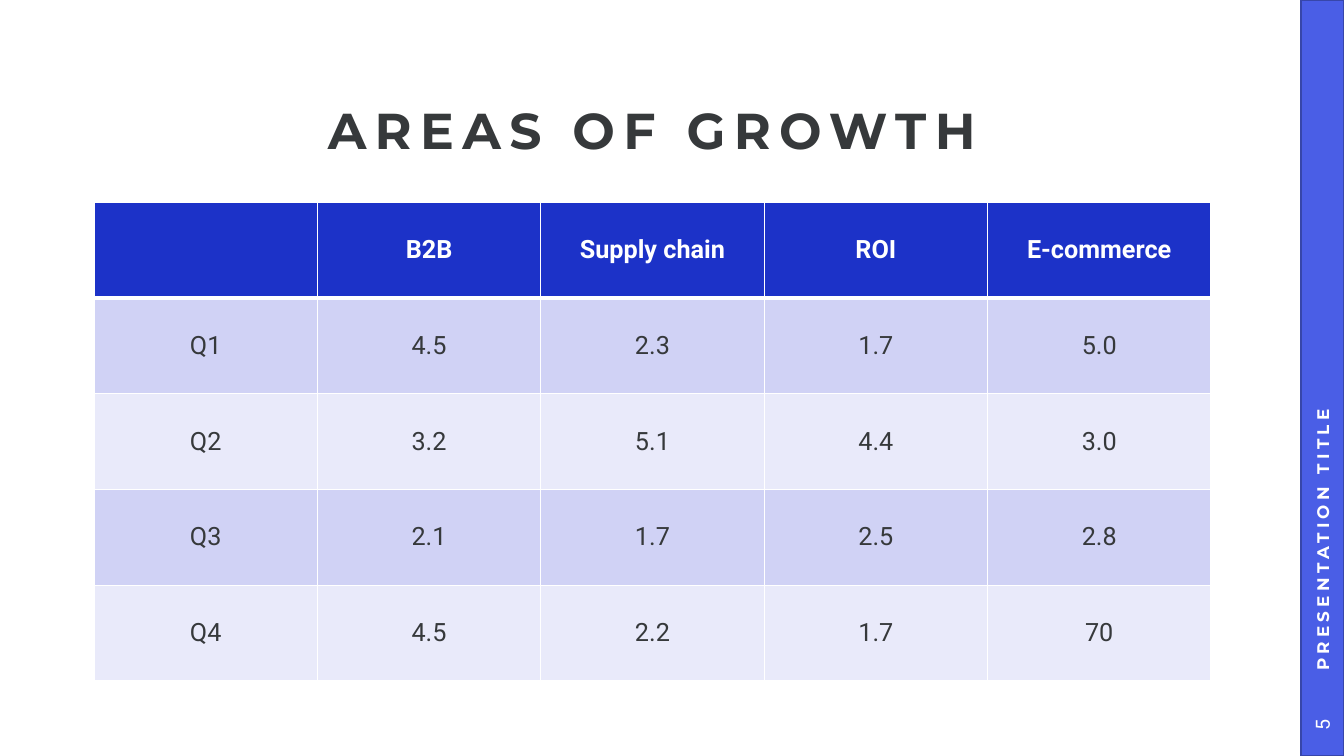
import pptx
import pptx.dml.color
import pptx.enum.shapes
import pptx.enum.text
import pptx.oxml
import pptx.oxml.ns
import pptx.util

COLORS = {
    "white": "FFFFFF",
    "ink": "36393B",
    "bar": "4A5EE6",
    "bar_edge": "3746AA",
    "header": "1C32C8",
    "band_dark": "D0D2F5",
    "band_light": "E9EAFA",
}
PX_PER_INCH = 100.8
ALIGN = pptx.enum.text.PP_ALIGN
MIDDLE = pptx.enum.text.MSO_ANCHOR.MIDDLE

GROWTH = [
    ["", "B2B", "Supply chain", "ROI", "E-commerce"],
    ["Q1", "4.5", "2.3", "1.7", "5.0"],
    ["Q2", "3.2", "5.1", "4.4", "3.0"],
    ["Q3", "2.1", "1.7", "2.5", "2.8"],
    ["Q4", "4.5", "2.2", "1.7", "70"],
]


def px(length):
    return pptx.util.Emu(round(length * 914400 / PX_PER_INCH))


def rgb(name):
    return pptx.dml.color.RGBColor.from_string(COLORS[name])


class SlideBuilder:
    """Holds the fonts and the page that the elements are added to."""

    heading_font = "Montserrat"
    body_font = "Roboto"

    def __init__(self, page):
        self.page = page

    def style(self, para, size, font, color, bold=False, align=ALIGN.CENTER, spacing=0):
        """Format a paragraph and its runs; spacing is in points between letters."""
        para.alignment = align
        for span in para.runs:
            span.font.size = pptx.util.Pt(size)
            span.font.name = font
            span.font.bold = bold
            span.font.color.rgb = rgb(color)
            if spacing:
                span.font._element.set("spc", str(spacing * 100))

    def bar(self, left, top, width, height):
        shape = self.page.shapes.add_shape(
            pptx.enum.shapes.MSO_SHAPE.RECTANGLE, px(left), px(top), px(width), px(height))
        shape.shadow.inherit = False
        shape.fill.solid()
        shape.fill.fore_color.rgb = rgb("bar")
        shape.line.color.rgb = rgb("bar_edge")
        shape.line.width = pptx.util.Pt(1)

    def text(self, place, words, size, font, color, insets=(10, 5, 10, 5),
             rotation=0, line_spacing=None, **style):
        box = self.page.shapes.add_textbox(*map(px, place))
        box.rotation = rotation
        frame = box.text_frame
        frame.word_wrap = True
        frame.vertical_anchor = MIDDLE
        (frame.margin_left, frame.margin_top,
         frame.margin_right, frame.margin_bottom) = map(px, insets)
        frame.text = words
        para = frame.paragraphs[0]
        if line_spacing:
            para.line_spacing = line_spacing
        self.style(para, size, font, color, **style)

    def borders(self, cell, **widths):
        """Draw white cell borders, with widths in points keyed by L, R, T and B."""
        for side, width in widths.items():
            cell._tc.get_or_add_tcPr().append(pptx.oxml.parse_xml(
                f'<a:ln{side} {pptx.oxml.ns.nsdecls("a")} w="{pptx.util.Pt(width)}">'
                f'<a:solidFill><a:srgbClr val="{COLORS["white"]}"/></a:solidFill>'
                f'</a:ln{side}>'))

    def table(self, left, top, width, height, rows):
        table = self.page.shapes.add_table(
            len(rows), len(rows[0]), px(left), px(top), px(width), px(height)).table
        for row_index, row in enumerate(rows):
            is_header = row_index == 0
            if is_header:
                fill = "header"
            else:
                fill = "band_dark" if row_index % 2 else "band_light"
            for column_index, words in enumerate(row):
                cell = table.cell(row_index, column_index)
                self.borders(cell, L=1, R=1, T=3 if row_index == 1 else 1,
                             B=3 if is_header else 1)
                cell.fill.solid()
                cell.fill.fore_color.rgb = rgb(fill)
                cell.vertical_anchor = MIDDLE
                cell.text = words
                self.style(cell.text_frame.paragraphs[0], 18, self.body_font,
                           "white" if is_header else "ink", bold=is_header)


def main():
    deck = pptx.Presentation()
    deck.slide_width, deck.slide_height = px(1344), px(756)
    slide = SlideBuilder(deck.slides.add_slide(deck.slide_layouts[6]))

    slide.bar(1301, 0, 43, 756)
    slide.text((94, 97, 1116, 72), "AREAS OF GROWTH", 36, slide.heading_font, "ink",
               insets=(0, 0, 0, 0), line_spacing=0.9, bold=True, spacing=6)
    slide.table(94, 202, 1117, 479, GROWTH)
    slide.text((976, 326, 693, 42), "PRESENTATION TITLE", 12, slide.heading_font, "white",
               insets=(23, 5, 10, 5), rotation=270, bold=True, align=ALIGN.LEFT, spacing=3)
    slide.text((1291, 704, 62, 42), "5", 14, slide.body_font, "white", rotation=270)

    deck.save("out.pptx")


if __name__ == "__main__":
    main()
